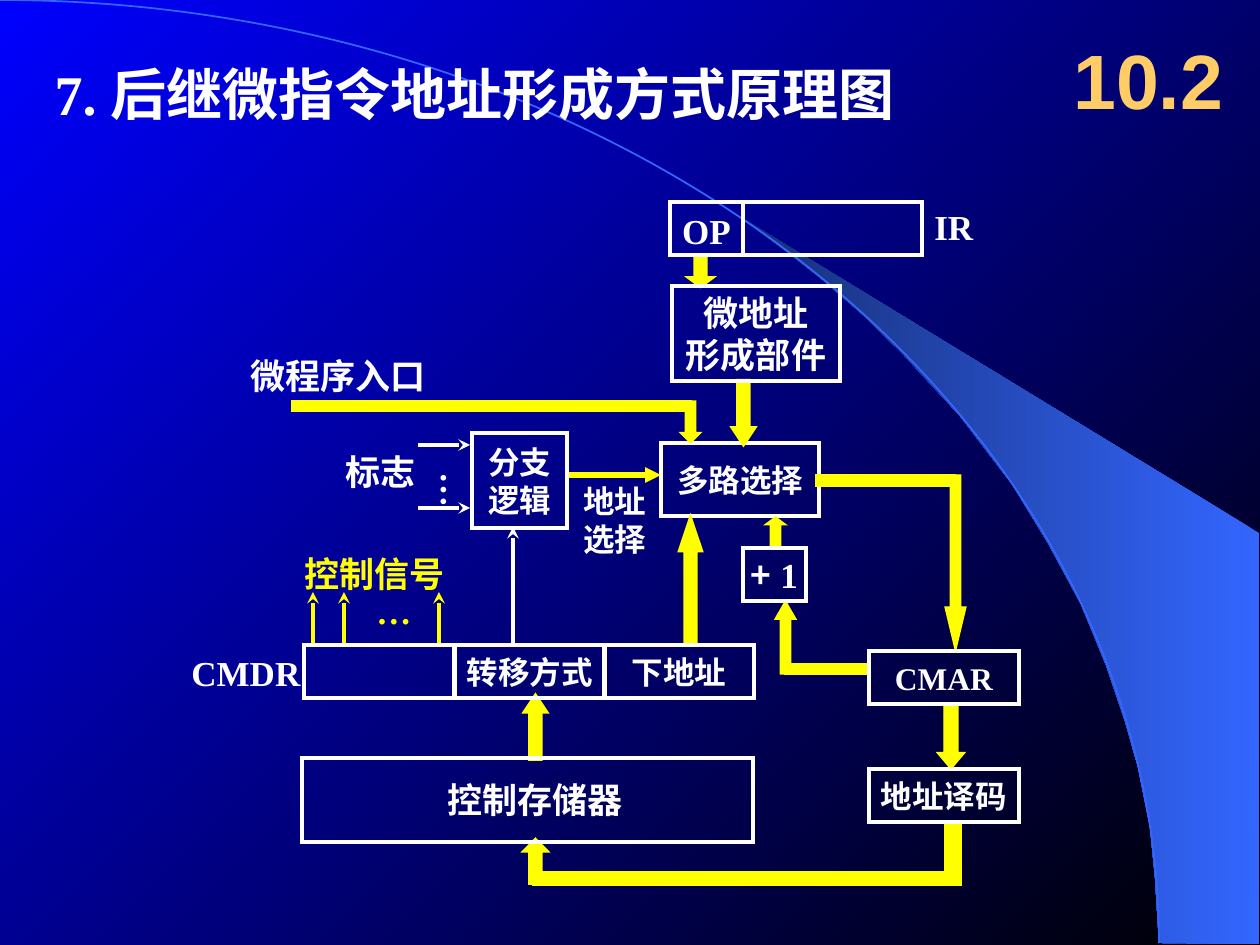
from dataclasses import dataclass

from lxml.etree import SubElement
from pptx import Presentation
from pptx.dml.color import RGBColor as Rgb
from pptx.enum.shapes import MSO_CONNECTOR as Connector, MSO_SHAPE as Preset
from pptx.enum.text import MSO_ANCHOR as Anchor, MSO_AUTO_SIZE as AutoSize, PP_ALIGN as Align
from pptx.oxml.ns import qn
from pptx.util import Emu, Pt

SCALE = 914400 / 126


@dataclass(frozen=True)
class Theme:
    """Colours, fonts and type sizes of the slide."""
    white: str = "FFFFFF"
    yellow: str = "FFFF00"
    gold: str = "FFCC66"
    blue: str = "0000FF"
    black: str = "000000"
    arc: str = "3366FF"
    shade: str = "172F75"
    serif: str = "Times New Roman"
    sans: str = "Arial"
    title_sans: str = "DejaVu Sans"
    chinese: str = "Noto Sans CJK SC"
    small: int = 18
    medium: int = 20
    title: int = 32
    section: int = 44
    thin: float = 0.75
    thick: float = 2.25


THEME = Theme()

FLOW_ARROWS = [
    (Preset.UP_ARROW, (680, 519, 21, 126), THEME.thick),
    (Preset.UP_ARROW, (525, 696, 21, 63), THEME.thick),
    (Preset.DOWN_ARROW, (733, 381, 21, 63), THEME.thick),
    (Preset.DOWN_ARROW, (690, 255, 21, 31), THEME.thick),
    (Preset.DOWN_ARROW, (680, 401, 21, 42), THEME.thin),
    (Preset.DOWN_ARROW, (945, 475, 21, 176), THEME.thin),
    (Preset.DOWN_ARROW, (937, 703, 28, 66), THEME.thin),
    (Preset.UP_ARROW, (765, 517, 21, 31), THEME.thin),
    (Preset.UP_ARROW, (775, 601, 21, 73), THEME.thin),
    (Preset.UP_ARROW, (525, 840, 21, 43), THEME.thick),
]
FLOW_BARS = [(292, 401, 399, 10), (816, 475, 139, 11), (945, 822, 16, 63),
             (785, 664, 84, 10), (533, 872, 422, 13)]
CRESCENT = [(1159, 943), (1259, 944), (1259, 533), (742, 218), (786, 251), (823, 280),
            (863, 315), (902, 353), (960, 416), (1012, 484), (1048, 543), (1081, 604),
            (1106, 665), (1125, 721), (1138, 767), (1150, 827), (1155, 877)]


def px(*lengths):
    """Turn px lengths into EMU."""
    return [Emu(round(length * SCALE)) for length in lengths]


def rgb(code):
    """Turn a hex code into a colour."""
    return Rgb.from_string(code)


def plain(text):
    """Split text into lines of one serif run each."""
    return [[(line, THEME.serif)] for line in text.split("\n")]


def write(frame, lines, size, color, align=Align.LEFT):
    """Write lines of (text, font) runs into a text frame."""
    for index, runs in enumerate(lines):
        paragraph = frame.add_paragraph() if index else frame.paragraphs[0]
        paragraph.alignment = align
        paragraph.space_before = Pt(0)
        for text, font_name in runs:
            run = paragraph.add_run()
            run.text = text
            font = run.font
            font.name, font.size, font.bold = font_name, Pt(size), True
            font.color.rgb = rgb(color)
            SubElement(font._element, qn("a:ea"), typeface=THEME.chinese)


def set_gradient(fill, colors, angle):
    """Give a fill a two-colour linear gradient."""
    fill.gradient()
    fill.gradient_angle = angle
    for stop, color in zip(fill.gradient_stops, colors):
        stop.color.rgb = rgb(color)


def add_preset(slide, preset, bounds, line, width, fill=None):
    """Add a preset shape with a sharp-cornered outline and no shadow."""
    shape = slide.shapes.add_shape(preset, *px(*bounds))
    shape.shadow.inherit = False
    shape.line.color.rgb = rgb(line)
    shape.line.width = Pt(width)
    SubElement(shape.line._get_or_add_ln(), qn("a:miter"), lim="800000")
    if fill:
        shape.fill.solid()
        shape.fill.fore_color.rgb = rgb(fill)
    else:
        shape.fill.background()
    return shape


def add_box(slide, bounds, lines=(), size=THEME.small, shift=(0, 0)):
    """Add a white outlined box with centred text, shifted right and down."""
    shape = add_preset(slide, Preset.RECTANGLE, bounds, THEME.white, THEME.thick)
    frame = shape.text_frame
    frame.word_wrap = False
    frame.vertical_anchor = Anchor.MIDDLE
    frame.margin_left, frame.margin_top = px(2 * shift[0], 2 * shift[1])
    frame.margin_right = frame.margin_bottom = 0
    write(frame, lines, size, THEME.white, Align.CENTER)


def add_flow_arrow(slide, preset, bounds, width):
    """Add a yellow block arrow whose head is a quarter of its length."""
    shape = add_preset(slide, preset, bounds, THEME.yellow, width, THEME.yellow)
    shape.adjustments[0] = 0.5
    shape.adjustments[1] = bounds[3] / bounds[2] / 4


def add_line_arrow(slide, start, end, color, width=THEME.thick, head="stealth"):
    """Add a straight line with an arrowhead at its end."""
    connector = slide.shapes.add_connector(Connector.STRAIGHT, *px(*start, *end))
    connector.line.color.rgb = rgb(color)
    connector.line.width = Pt(width)
    SubElement(connector.line._get_or_add_ln(), qn("a:tailEnd"), type=head)
    SubElement(connector._element.spPr, qn("a:effectLst"))


def add_label(slide, bounds, text, color=THEME.white, size=THEME.medium):
    """Add a free-standing label that fits its text and return its frame."""
    frame = slide.shapes.add_textbox(*px(*bounds)).text_frame
    frame.word_wrap = False
    frame.auto_size = AutoSize.SHAPE_TO_FIT_TEXT
    write(frame, plain(text), size, color)
    return frame


def add_backdrop(slide):
    """Paint the background, the crescent and the arc."""
    set_gradient(slide.background.fill, (THEME.black, THEME.blue), 135)
    builder = slide.shapes.build_freeform(*CRESCENT[0], scale=SCALE)
    builder.add_line_segments(CRESCENT[1:])
    crescent = builder.convert_to_shape()
    crescent.shadow.inherit = False
    set_gradient(crescent.fill, (THEME.arc, THEME.shade), 180)
    crescent.line.fill.background()
    add_preset(slide, Preset.ARC, (-1159, 0, 2318, 1886), THEME.arc, 1)


def add_headings(slide):
    """Fill the title placeholder and add the section number."""
    title = slide.shapes.title
    title.left, title.top, title.width, title.height = px(42, 53, 1072, 81)
    title.element.getparent().append(title.element)
    frame = title.text_frame
    frame.auto_size = AutoSize.NONE
    frame.vertical_anchor = Anchor.TOP
    runs = [("7. ", THEME.serif), ("后继微指令地址形成方式原理图", THEME.title_sans)]
    write(frame, [runs], THEME.title, THEME.white)
    section = slide.shapes.add_textbox(*px(1061, 21, 199, 116)).text_frame
    section.word_wrap = True
    section.vertical_anchor = Anchor.MIDDLE
    write(section, [[("10.2", THEME.sans)]], THEME.section, THEME.gold)


def add_flow(slide):
    """Add the yellow data paths and the thin control lines."""
    for bounds in FLOW_BARS:
        add_preset(slide, Preset.RECTANGLE, bounds, THEME.yellow, THEME.thin, THEME.yellow)
    for preset, bounds, width in FLOW_ARROWS:
        add_flow_arrow(slide, preset, bounds, width)
    add_line_arrow(slide, (567, 475), (661, 475), THEME.yellow, 3, "triangle")
    add_line_arrow(slide, (513, 644), (513, 527), THEME.white)
    for x in (313, 344, 439):
        add_line_arrow(slide, (x, 645), (x, 592), THEME.yellow)
    for y in (445, 508):
        add_line_arrow(slide, (418, y), (470, y), THEME.white)


def add_units(slide):
    """Add the boxes of the micro-program controller."""
    for x, y, text in [(869, 651, "CMAR"), (869, 769, "地址译码"), (604, 645, "下地址"),
                       (455, 645, "转移方式"), (304, 645, "")]:
        add_box(slide, (x, y, 150, 53), plain(text) if text else ())
    add_box(slide, (743, 548, 63, 53), [[("+", THEME.chinese), (" 1", THEME.serif)]],
            THEME.medium)
    add_box(slide, (302, 758, 451, 84), plain("控制存储器"), THEME.medium, (8, 0))
    add_box(slide, (472, 433, 95, 95), plain("分支\n逻辑"))
    add_box(slide, (670, 202, 73, 53), plain("OP"), THEME.medium, (0, 2))
    add_box(slide, (743, 202, 179, 53))
    add_box(slide, (672, 286, 168, 95), plain("微地址\n形成部件"), THEME.medium)


def add_labels(slide):
    """Add the labels beside the boxes and lines."""
    add_label(slide, (571, 476, 88, 88), "地址\n选择", size=THEME.small)
    add_label(slide, (179, 645, 134, 55), "CMDR")
    add_label(slide, (364, 583, 60, 55), "…", THEME.yellow)
    add_label(slide, (292, 546, 166, 55), "控制信号", THEME.yellow)
    add_label(slide, (333, 444, 96, 55), "标志")
    add_label(slide, (238, 348, 202, 55), "微程序入口")
    add_label(slide, (922, 199, 64, 55), "IR")
    dots = add_label(slide, (415, 460, 67, 48), "…")
    dots.margin_left, dots.margin_top, dots.margin_right, dots.margin_bottom = px(6, 13, 6, 13)
    dots._element.bodyPr.set("vert", "eaVert")


def main():
    """Build and save the slide."""
    presentation = Presentation()
    presentation.slide_width, presentation.slide_height = px(1260, 945)
    slide = presentation.slides.add_slide(presentation.slide_layouts[5])
    add_backdrop(slide)
    add_headings(slide)
    add_box(slide, (661, 443, 158, 73), plain("多路选择"))
    add_flow(slide)
    add_units(slide)
    add_labels(slide)
    presentation.save("out.pptx")


if __name__ == "__main__":
    main()
